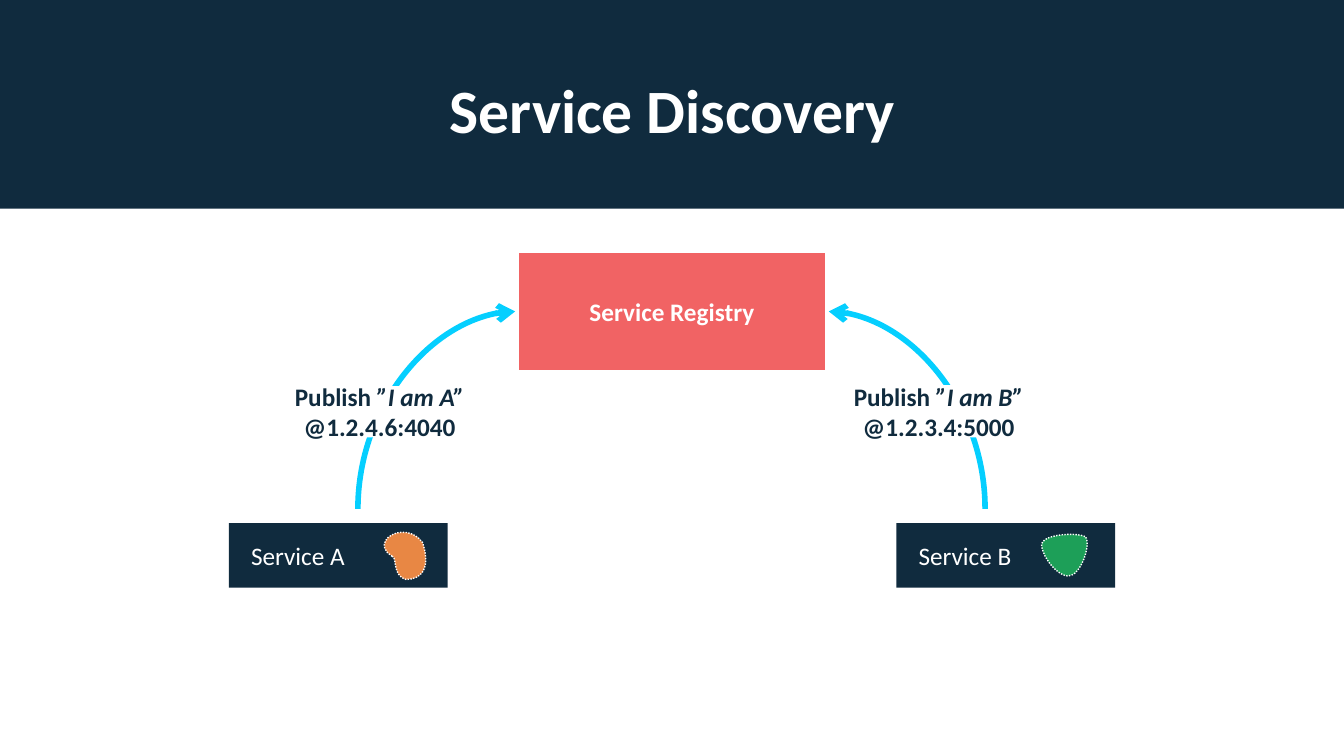
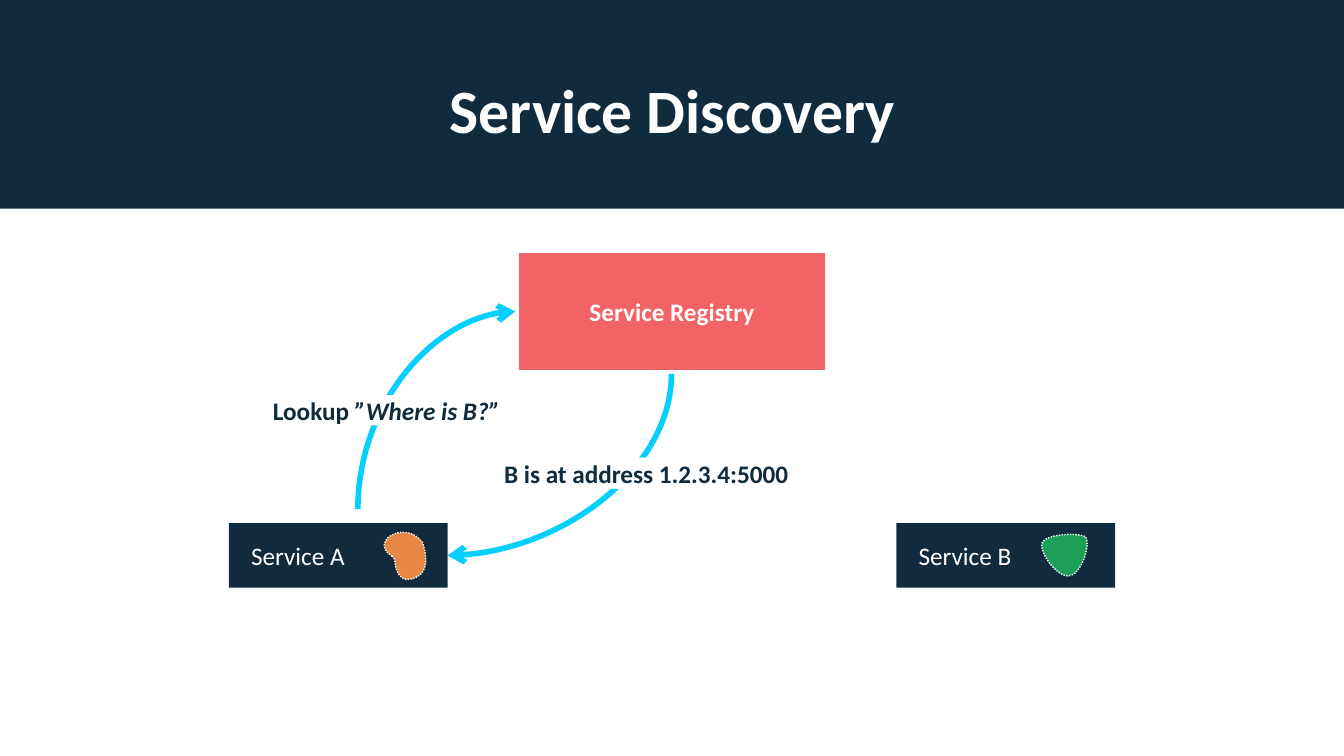
"""Build two slides on service discovery."""
from pptx import Presentation, util as u
from pptx.dml.color import RGBColor
from pptx.enum import dml, shapes, text
from pptx.oxml import ns, xmlchemy as xml

PX = 9144
FONT = "Calibri"
NAVY, WHITE, CORAL, CYAN = "102B3E", "FFFFFF", "F16364", "05CFFF"
ORANGE, GREEN = "E88744", "1D9F58"
BEAN = [(389, 552), (365, 537), (402, 515), (419, 538), (423, 549), (428, 574),
        (403, 575), (389, 571), (394, 553), (389, 552)]
LEAF = [(1077, 533), (1082, 541), (1072, 570), (1061, 571), (1052, 574),
        (1034, 555), (1033, 540), (1035, 529), (1072, 528), (1077, 533)]


def rgb(code):
    """Turn a hex string into a colour."""
    return RGBColor.from_string(code)


def write(frame, words, size=18, color=WHITE, bold=True, center=True, inset=10, space=None):
    """Fill a frame line by line, with the parts between stars in italics."""
    frame.word_wrap = True
    frame.vertical_anchor = text.MSO_ANCHOR.MIDDLE
    frame.margin_left, frame.margin_right = inset * PX, 10 * PX
    frame.margin_top = frame.margin_bottom = 5 * PX
    for row, line in enumerate(words.split("\n")):
        para = frame.add_paragraph() if row else frame.paragraphs[0]
        para.alignment = text.PP_ALIGN.CENTER if center else text.PP_ALIGN.LEFT
        if space:
            para.line_spacing = space
        for part, piece in enumerate(line.split("*")):
            if piece:
                run = para.add_run()
                run.text = piece
                font = run.font
                font.name, font.size, font.bold = FONT, u.Pt(size), bold
                font.italic = part % 2 == 1
                font.color.rgb = rgb(color)


def bend(points, steps=12):
    """Trace a chain of cubic curves as a list of points."""
    trace = []
    for i in range(0, len(points) - 1, 3):
        for k in range(steps):
            t = k / steps
            mix = ((1 - t) ** 3, 3 * t * (1 - t) ** 2, 3 * t * t * (1 - t), t ** 3)
            trace.append(tuple(round(PX * sum(m * p[axis] for m, p in zip(mix, points[i:i + 4])))
                               for axis in (0, 1)))
    return trace


class Deck:
    """Hold the shared style and the current slide."""

    def __init__(self):
        """Start an empty wide deck."""
        self.file = Presentation()
        self.file.slide_width, self.file.slide_height = 1333 * PX, 750 * PX

    def page(self, title):
        """Add a slide with its band and title."""
        self.slide = self.file.slides.add_slide(self.file.slide_layouts[6])
        self.box(0, 0, 1333, 207, NAVY)
        label = self.slide.shapes.add_textbox(*(n * PX for n in (92, 40, 1150, 145)))
        write(label.text_frame, title, size=44, space=0.9)

    def paint(self, shape, fill, edge=None, width=1):
        """Set the fill and outline of a shape."""
        shape.shadow.inherit = False
        shape.fill.solid()
        shape.fill.fore_color.rgb = rgb(fill)
        if edge:
            shape.line.color.rgb = rgb(edge)
            shape.line.width = u.Pt(width)
        else:
            shape.line.fill.background()

    def box(self, x, y, w, h, fill, words="", edge=None, width=1, **style):
        """Add a filled box with text."""
        shape = self.slide.shapes.add_shape(
            shapes.MSO_SHAPE.RECTANGLE, x * PX, y * PX, w * PX, h * PX)
        self.paint(shape, fill, edge, width)
        if words:
            write(shape.text_frame, words, **style)

    def note(self, x, y, w, h, words):
        """Add a white label that breaks an arrow."""
        self.box(x, y, w, h, WHITE, words, color=NAVY)

    def arrow(self, x1, y1, x2, y2, turn, **flips):
        """Add a curved arrow that leaves upright and ends level."""
        w, h = abs(y2 - y1), abs(x2 - x1)
        left, top = (x1 + x2 - w) * PX // 2, (y1 + y2 - h) * PX // 2
        link = self.slide.shapes.add_connector(
            shapes.MSO_CONNECTOR.CURVE, left, top, left + w * PX, top + h * PX)
        link.line.color.rgb = rgb(CYAN)
        link.line.width = u.Pt(4)
        prop = link.element.spPr
        prop.find(ns.qn("a:prstGeom")).set("prst", "curvedConnector2")
        frame = prop.find(ns.qn("a:xfrm"))
        frame.set("rot", str(turn * 60000))
        for name, value in flips.items():
            frame.set(name, value)
        tip = xml.OxmlElement("a:tailEnd")
        tip.set("type", "arrow")
        prop.find(ns.qn("a:ln")).append(tip)
        prop.append(xml.OxmlElement("a:effectLst"))

    def patch(self, points, fill):
        """Add a round patch with a dotted edge."""
        first, *rest = bend(points)
        pen = self.slide.shapes.build_freeform(*first)
        pen.add_line_segments(rest, close=True)
        shape = pen.convert_to_shape()
        self.paint(shape, fill, WHITE)
        shape.line.dash_style = dml.MSO_LINE.ROUND_DOT

    def node(self, x, name, points, fill):
        """Add a service box with its patch."""
        self.box(x, 519, 217, 64, NAVY, name, bold=False, center=False, inset=22)
        self.patch(points, fill)

    def scene(self):
        """Add the parts that both slides show."""
        self.page("Service Discovery")
        self.box(511, 247, 311, 124, CORAL, "Service Registry", edge=WHITE, width=5.5)
        self.arrow(355, 505, 511, 309, 90, flipH="1", flipV="1")
        self.node(227, "Service A", BEAN, ORANGE)
        self.node(889, "Service B", LEAF, GREEN)


def main():
    """Draw and save the deck."""
    deck = Deck()
    deck.scene()
    deck.note(249, 383, 255, 51, "Publish *”I am A”*\n@1.2.4.6:4040")
    deck.arrow(977, 505, 822, 309, 270, flipV="1")
    deck.note(822, 382, 218, 52, "Publish *”I am B”*\n@1.2.3.4:5000")

    deck.scene()
    deck.note(256, 392, 255, 30, "Lookup *”Where is B?”*")
    deck.arrow(666, 371, 444, 551, 90)
    deck.note(480, 454, 322, 31, "B is at address 1.2.3.4:5000")
    deck.file.save("out.pptx")


if __name__ == "__main__":
    main()
